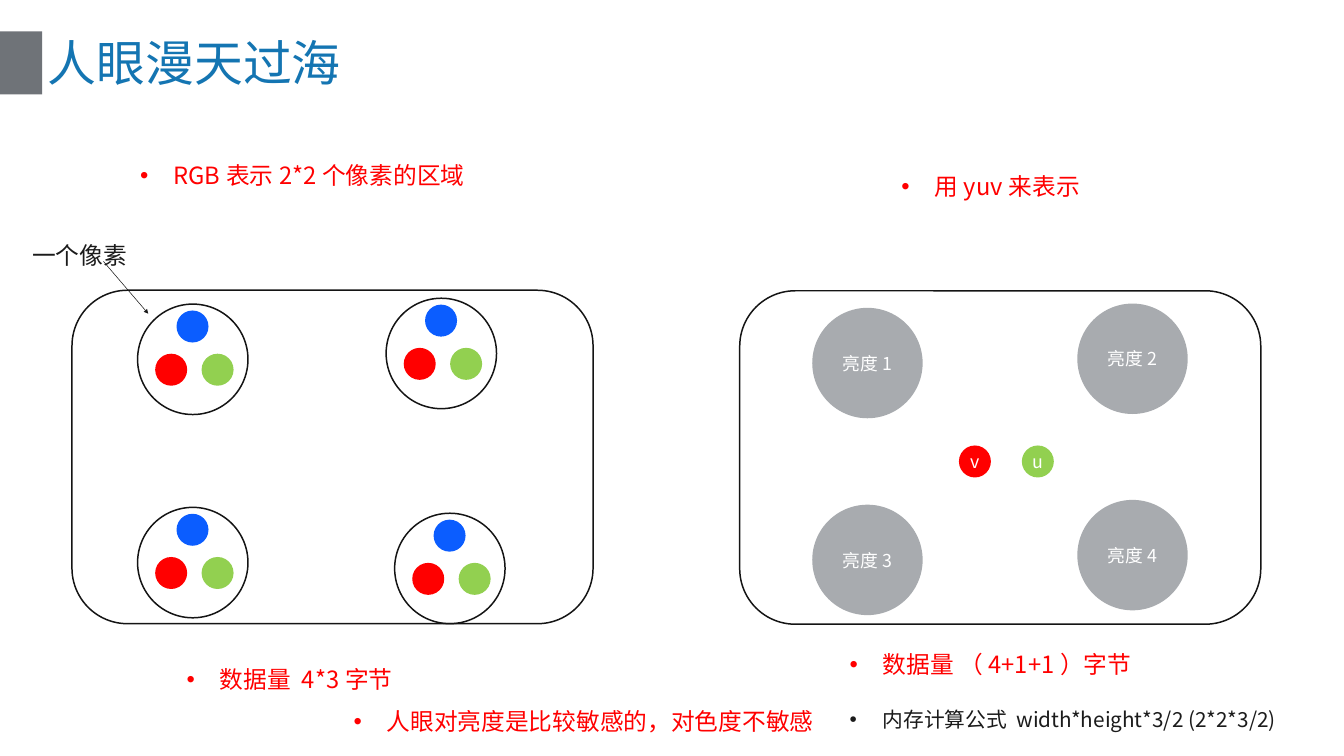
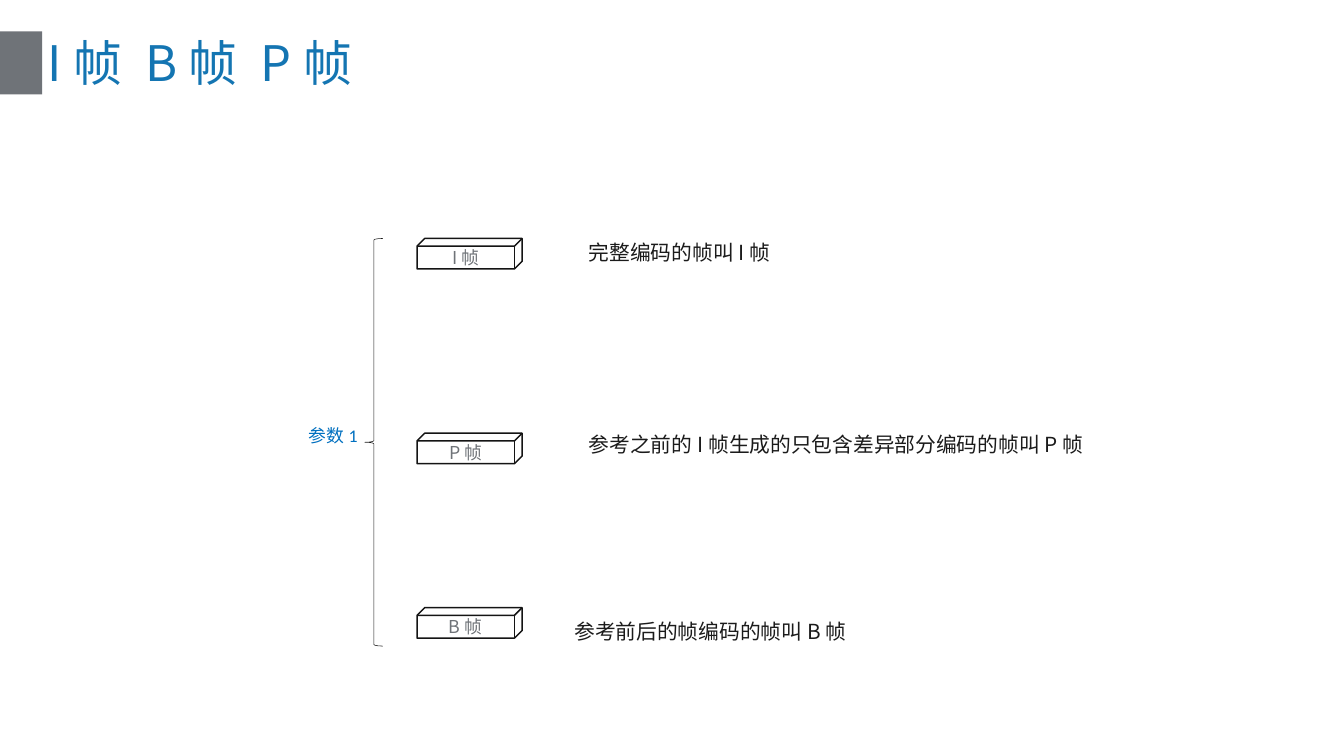
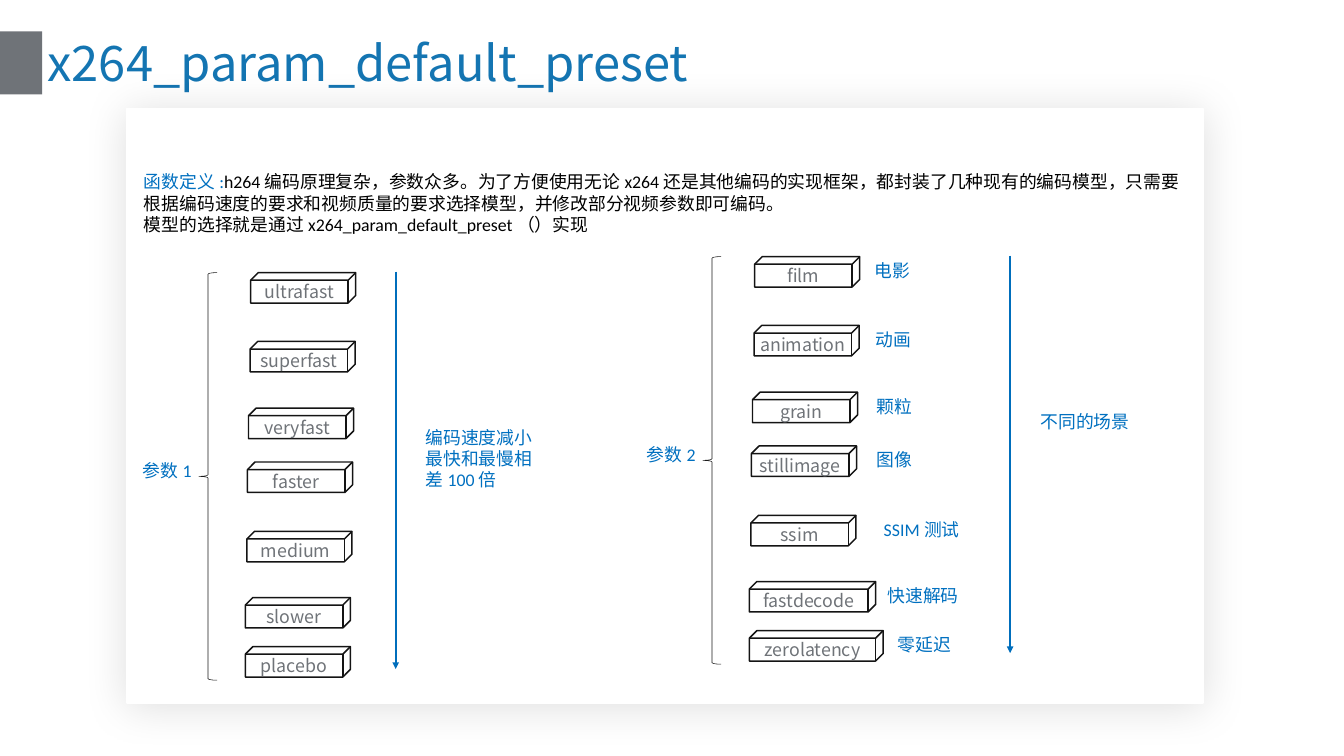
import pptx
import pptx.util
import pptx.dml.color
import pptx.enum.shapes
import pptx.enum.text
import pptx.oxml
import pptx.oxml.ns
import lxml.etree

Inches = pptx.util.Inches
Pt = pptx.util.Pt
RGBColor = pptx.dml.color.RGBColor
SHAPE = pptx.enum.shapes.MSO_SHAPE
ALIGN = pptx.enum.text.PP_ALIGN
ANCHOR = pptx.enum.text.MSO_ANCHOR
AUTO_SIZE = pptx.enum.text.MSO_AUTO_SIZE
qn = pptx.oxml.ns.qn

BLACK = RGBColor(0x00, 0x00, 0x00)
WHITE = RGBColor(0xFF, 0xFF, 0xFF)
INK = RGBColor(0x1B, 0x1B, 0x1B)
OUTLINE = RGBColor(0x14, 0x14, 0x14)
HAIRLINE = RGBColor(0x1A, 0x1A, 0x1A)
SLATE = RGBColor(0x6F, 0x73, 0x78)
SILVER = RGBColor(0xA8, 0xAB, 0xAF)
TITLE_BLUE = RGBColor(0x14, 0x75, 0xB2)
LABEL_BLUE = RGBColor(0x00, 0x70, 0xC0)
ARROW_BLUE = RGBColor(0x00, 0x6E, 0xBC)
BLUE = RGBColor(0x0B, 0x5D, 0xFF)
RED = RGBColor(0xFF, 0x00, 0x00)
GREEN = RGBColor(0x92, 0xD0, 0x50)

CJK_FONT = "Noto Sans CJK SC"
LATIN_FONT = "Calibri"


def text_style(size, color, name=CJK_FONT):
    return {"font": {"size": Pt(size), "name": name}, "color": color}


TITLE_STYLE = text_style(66, TITLE_BLUE)
POINT_STYLE = text_style(32, RED)
CALLOUT_STYLE = text_style(32, INK)
NOTE_STYLE = text_style(28, INK)
DISC_STYLE = text_style(24, WHITE)
CUBE_STYLE = text_style(24, SLATE)
LABEL_STYLE = text_style(24, LABEL_BLUE, LATIN_FONT)
BODY_STYLE = text_style(24, BLACK, LATIN_FONT)

TITLE_FRAME = {"vertical_anchor": ANCHOR.MIDDLE, "word_wrap": True, "auto_size": AUTO_SIZE.NONE}
SHAPE_FRAME = {"vertical_anchor": ANCHOR.MIDDLE, "word_wrap": True}
TEXT_FRAME = {
    "word_wrap": True,
    "auto_size": AUTO_SIZE.SHAPE_TO_FIT_TEXT,
    **{"margin_" + side: Inches(0.05) for side in ("left", "top", "right", "bottom")},
}


def set_values(target, values):
    for name, value in values.items():
        setattr(target, name, value)


def add_run(paragraph, text, style):
    run = paragraph.add_run()
    run.text = text
    set_values(run.font, style["font"])
    run.font.color.rgb = style["color"]
    properties = run.font._element
    lxml.etree.SubElement(properties, qn("a:ea"), typeface=CJK_FONT)


def add_bullet(paragraph):
    properties = paragraph._p.get_or_add_pPr()
    properties.set("marL", str(Inches(0.62)))
    properties.set("indent", str(Inches(-0.62)))
    lxml.etree.SubElement(properties, qn("a:buFont"), typeface="Arial")
    lxml.etree.SubElement(properties, qn("a:buChar"), char="•")


def add_text(slide, left, top, width, height, paragraphs, style, spacing=1.0, bullet=False):
    box = slide.shapes.add_textbox(Inches(left), Inches(top), Inches(width), Inches(height))
    frame = box.text_frame
    set_values(frame, TEXT_FRAME)
    for index, runs in enumerate(paragraphs):
        paragraph = frame.add_paragraph() if index else frame.paragraphs[0]
        if bullet:
            add_bullet(paragraph)
        paragraph.line_spacing = spacing
        for text, run_style in runs:
            add_run(paragraph, text, run_style or style)


def add_line_text(slide, left, top, width, height, text, style, **options):
    add_text(slide, left, top, width, height, [[(text, None)]], style, **options)


def add_point(slide, left, top, width, text, style=POINT_STYLE):
    add_line_text(slide, left, top, width, 0.82, text, style, spacing=1.5, bullet=True)


def add_label(slide, left, top, width, text):
    add_line_text(slide, left, top, width, 0.5, text, LABEL_STYLE)


def add_figure(slide, kind, left, top, width, height, fill=None, line=None, weight=2,
               text=None, style=None):
    shape = slide.shapes.add_shape(kind, Inches(left), Inches(top), Inches(width), Inches(height))
    shape.shadow.inherit = False
    if fill is None:
        shape.fill.background()
    else:
        shape.fill.solid()
        shape.fill.fore_color.rgb = fill
    if line is None:
        shape.line.fill.background()
    else:
        shape.line.color.rgb = line
        shape.line.width = Pt(weight)
    if text:
        set_values(shape.text_frame, SHAPE_FRAME)
        paragraph = shape.text_frame.paragraphs[0]
        paragraph.alignment = ALIGN.CENTER
        add_run(paragraph, text, style)
    return shape


def add_arrow(slide, start, end, color, weight):
    points = [Inches(value) for value in (*start, *end)]
    arrow = slide.shapes.add_connector(pptx.enum.shapes.MSO_CONNECTOR.STRAIGHT, *points)
    arrow.line.color.rgb = color
    arrow.line.width = Pt(weight)
    properties = arrow.element.find(qn("p:spPr"))
    lxml.etree.SubElement(properties.find(qn("a:ln")), qn("a:tailEnd"), type="triangle")
    lxml.etree.SubElement(properties, qn("a:effectLst"))


def add_soft_shadow(shape):
    effects = shape.element.find(qn("p:spPr")).find(qn("a:effectLst"))
    shadow = lxml.etree.SubElement(
        effects, qn("a:outerShdw"), blurRad=str(Pt(60)), dist=str(Pt(4)),
        dir="5400000", algn="ctr", rotWithShape="0")
    color = lxml.etree.SubElement(shadow, qn("a:srgbClr"), val=str(BLACK))
    lxml.etree.SubElement(color, qn("a:alpha"), val="12000")


def add_title_slide(presentation, title):
    layout = presentation.slide_layouts[5]
    slide = presentation.slides.add_slide(layout)
    if len(presentation.slides) == 1:
        band = add_figure(slide, SHAPE.RECTANGLE, 0, 0.59, 0.79, 1.18, fill=SLATE)
        layout.shapes.element.append(band.element)
    placeholder = slide.shapes.title
    set_values(placeholder, {"left": Inches(0.79), "top": Inches(0.57),
                             "width": Inches(23.62), "height": Inches(1.2)})
    set_values(placeholder.text_frame, TITLE_FRAME)
    paragraph = placeholder.text_frame.paragraphs[0]
    paragraph.alignment = ALIGN.LEFT
    add_run(paragraph, title, TITLE_STYLE)
    return slide


def add_pixel(slide, left, top):
    add_figure(slide, SHAPE.OVAL, left, top, 2.07, 2.07, line=OUTLINE)
    for x, y, color in ((0.73, 0.12, BLUE), (0.33, 0.93, RED), (1.2, 0.93, GREEN)):
        add_figure(slide, SHAPE.OVAL, left + x, top + y, 0.6, 0.6, fill=color)


def add_rgb_area(slide, left, top):
    add_figure(slide, SHAPE.ROUNDED_RECTANGLE, left, top, 9.77, 6.25, line=OUTLINE)
    for x, y in ((1.23, 0.26), (5.89, 0.15), (1.23, 4.07), (6.05, 4.18)):
        add_pixel(slide, left + x, top + y)
    add_line_text(slide, left - 0.8, top - 1.24, 3.02, 0.82, "一个像素", CALLOUT_STYLE, spacing=1.5)
    add_arrow(slide, (left + 0.59, top - 0.54), (left + 1.43, top + 0.44), HAIRLINE, 0.75)


def add_yuv_area(slide, left, top):
    add_figure(slide, SHAPE.ROUNDED_RECTANGLE, left, top, 9.77, 6.25, line=OUTLINE)
    corners = ((1.36, 0.32), (6.33, 0.24), (1.36, 4.01), (6.33, 3.92))
    for number, (x, y) in enumerate(corners, 1):
        add_figure(slide, SHAPE.OVAL, left + x, top + y, 2.07, 2.07, fill=SILVER,
                   text=f"亮度{number}", style=DISC_STYLE)
    for x, color, letter in ((4.11, RED, "v"), (5.29, GREEN, "u")):
        add_figure(slide, SHAPE.OVAL, left + x, top + 2.9, 0.6, 0.6, fill=color,
                   text=letter, style=DISC_STYLE)


def add_cube_list(slide, left, top, label, cubes):
    add_label(slide, left - 1.1, top + 3.45, 1.19, label)
    add_figure(slide, SHAPE.LEFT_BRACE, left, top, 0.34, 7.64, line=HAIRLINE, weight=0.75)
    for x, y, width, name in cubes:
        add_figure(slide, SHAPE.CUBE, left + x, top + y, width, 0.57, line=OUTLINE,
                   text=name, style=CUBE_STYLE)


def add_preset_list(slide, left, top, label, names, widths, arrow_x):
    xs = (0.97, 0.96, 0.93, 0.91, 0.9, 0.87, 0.87)
    add_cube_list(slide, left, top, label, zip(xs, PRESET_ROWS, widths, names))
    add_arrow(slide, (left + arrow_x, top - 0.02), (left + arrow_x, top + 7.43), ARROW_BLUE, 3)


PRESET_ROWS = (0, 1.29, 2.54, 3.55, 4.85, 6.09, 7.01)
SPEEDS = ("ultrafast", "superfast", "veryfast", "faster", "medium", "slower", "placebo")
TUNINGS = (
    ("film", 1.97, "电影", 3.17),
    ("animation", 1.97, "动画", 3.19),
    ("grain", 1.97, "颗粒", 3.21),
    ("stillimage", 1.97, "图像", 3.21),
    ("ssim", 1.97, "SSIM测试", 3.34),
    ("fastdecode", 2.37, "快速解码", 3.41),
    ("zerolatency", 2.51, "零延迟", 3.6),
)


def add_speed_list(slide, left, top):
    add_preset_list(slide, left, top, "参数1", SPEEDS, [1.97] * len(SPEEDS), 3.69)
    add_text(slide, left + 4.2, top + 2.83, 2.35, 1.31,
             [[("编码速度减小", None)], [("最快和最慢相差100倍", None)]], LABEL_STYLE)


def add_tuning_list(slide, left, top):
    names, widths, scenes, scene_xs = zip(*TUNINGS)
    add_preset_list(slide, left, top, "参数2", names, widths, 5.76)
    for scene, x, y in zip(scenes, scene_xs, PRESET_ROWS):
        add_label(slide, left + x, top + y + 0.01, 2.35, scene)
    add_label(slide, left + 6.28, top + 2.83, 2.35, "不同的场景")


def add_definition_card(slide, left, top):
    card = add_figure(slide, SHAPE.RECTANGLE, left, top, 20.18, 11.15, fill=WHITE, line=WHITE)
    add_soft_shadow(card)
    add_text(slide, left + 0.27, top + 1.13, 19.66, 1.8, [
        [("函数定义:", LABEL_STYLE),
         ("h264编码原理复杂，参数众多。为了方便使用无论x264还是其他编码的实现框架，"
          "都封装了几种现有的编码模型，只需要根据编码速度的要求和视频质量的要求选择模型，"
          "并修改部分视频参数即可编码。", None)],
        [("模型的选择就是通过x264_param_default_preset（）实现", None)],
    ], BODY_STYLE)


def build_color_slide(presentation):
    slide = add_title_slide(presentation, "人眼漫天过海")
    add_rgb_area(slide, 1.35, 5.44)
    add_yuv_area(slide, 13.87, 5.45)
    add_point(slide, 2.58, 2.7, 12, "RGB表示2*2个像素的区域")
    add_point(slide, 16.85, 2.91, 4.6, "用yuv来表示")
    add_point(slide, 3.45, 12.14, 7.77, "数据量 4*3字节")
    add_point(slide, 15.88, 11.86, 7.77, "数据量 （4+1+1）字节")
    add_point(slide, 6.58, 12.93, 9.2, "人眼对亮度是比较敏感的，对色度不敏感")
    add_point(slide, 15.88, 12.96, 9.2, "内存计算公式 width*height*3/2 (2*2*3/2)", NOTE_STYLE)


def build_frame_slide(presentation):
    slide = add_title_slide(presentation, "I帧 B帧 P帧")
    left, top = 6.84, 4.47
    frames = (
        ("I帧", 0, "完整编码的帧叫I帧", 4.15, -0.26),
        ("P帧", 3.65, "参考之前的I帧生成的只包含差异部分编码的帧叫P帧", 4.15, 3.34),
        ("B帧", 6.92, "参考前后的帧编码的帧叫B帧", 3.88, 6.84),
    )
    add_cube_list(slide, left, top, "参数1", [(0.98, y, 1.97, name) for name, y, *_ in frames])
    for _, _, meaning, x, y in frames:
        add_line_text(slide, left + x, top + y, 11.59, 0.73, meaning, NOTE_STYLE, spacing=1.5)


def build_preset_slide(presentation):
    slide = add_title_slide(presentation, "x264_param_default_preset")
    add_definition_card(slide, 2.38, 2.03)
    add_speed_list(slide, 3.73, 5.11)
    add_tuning_list(slide, 13.18, 4.81)


def main():
    presentation = pptx.Presentation()
    presentation.slide_width = Inches(25.2)
    presentation.slide_height = Inches(14.17)
    for build in (build_color_slide, build_frame_slide, build_preset_slide):
        build(presentation)
    presentation.save("out.pptx")


if __name__ == "__main__":
    main()
